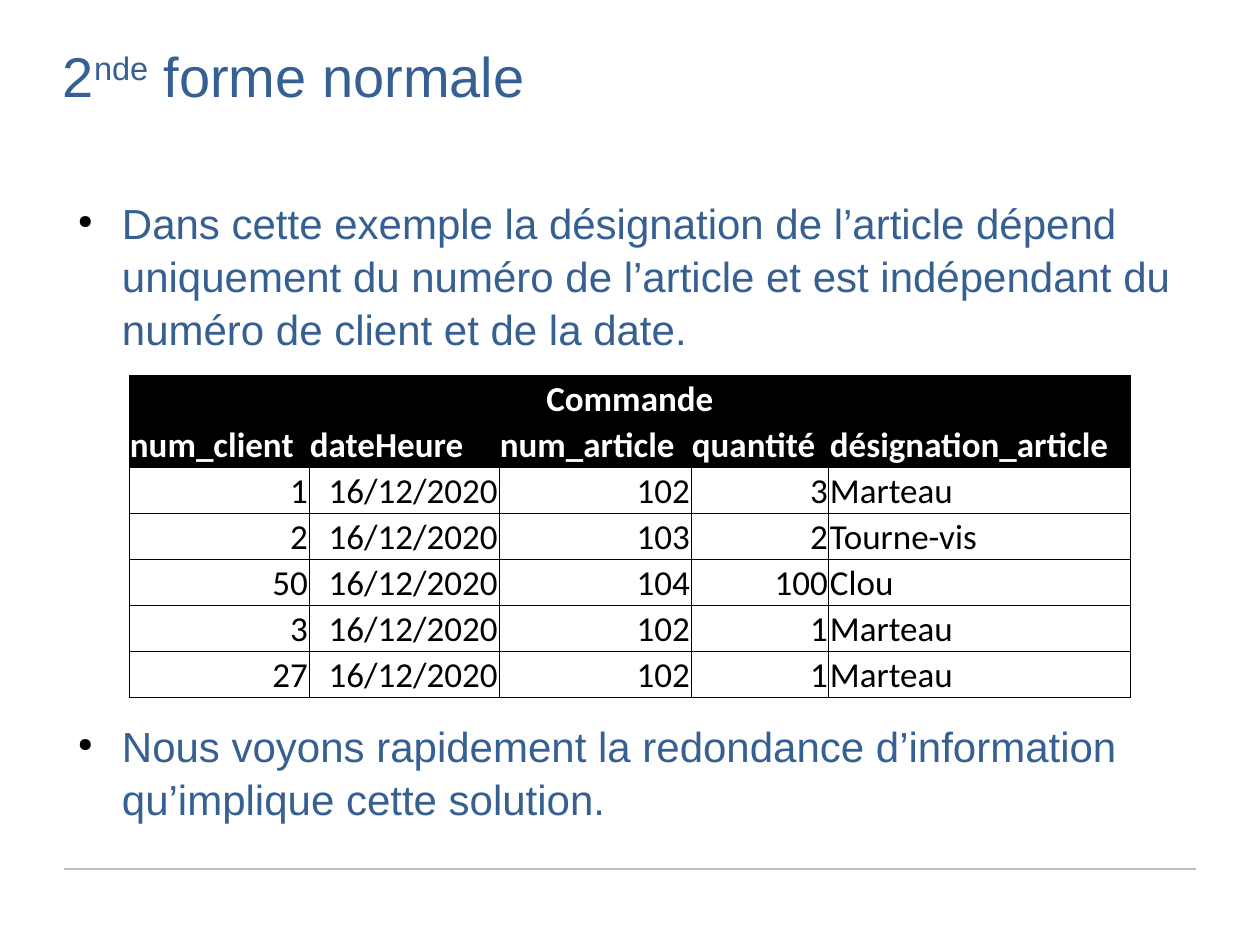
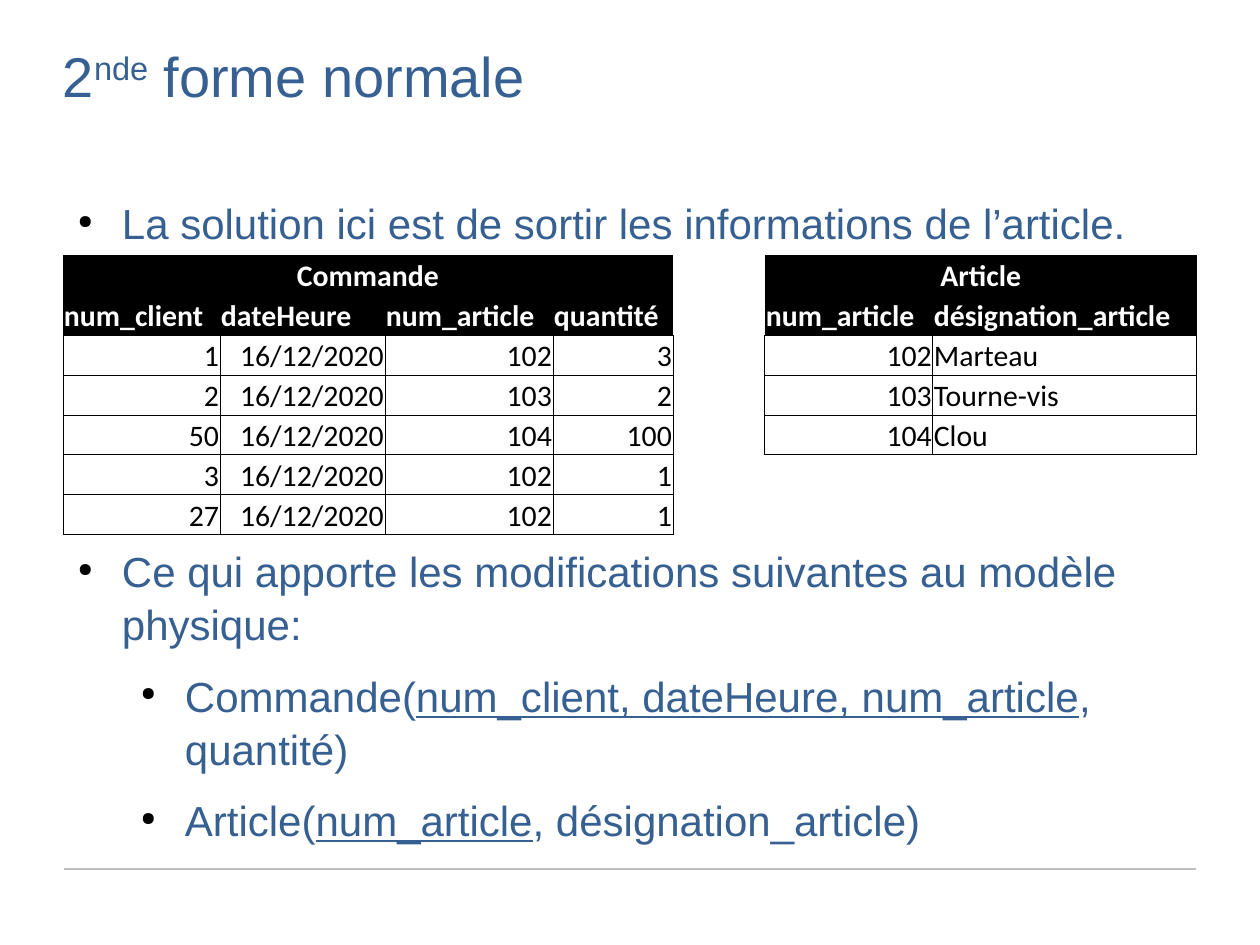
import pptx
import pptx.util
import pptx.dml.color
import pptx.enum.shapes
import pptx.enum.text
import pptx.oxml
import pptx.oxml.ns

SCALE = 914400 / 126
COLORS = {"text": "376092", "ink": "000000", "paper": "FFFFFF", "rule": "BFBFBF"}
NO_STYLE = "{2D5ABB26-0587-4C30-8999-92F81FD0307C}"
ALIGN = pptx.enum.text.PP_ALIGN
TITLE_BOX = (63, 38, 1134, 158)
BODY_BOX = (63, 195, 1134, 649)
RULE = (64, 869, 1196, 869)
INDENTS = (59, 122)
HANGING = 44

COMMANDE_HEAD = ["num_client", "dateHeure", "num_article", "quantité"]
COMMANDE_ROWS = [
    ["1", "16/12/2020", "102", "3"],
    ["2", "16/12/2020", "103", "2"],
    ["50", "16/12/2020", "104", "100"],
    ["3", "16/12/2020", "102", "1"],
    ["27", "16/12/2020", "102", "1"],
]
ARTICLES = {"102": "Marteau", "103": "Tourne-vis", "104": "Clou"}


def px(length):
    return pptx.util.Emu(round(length * SCALE))


def rgb(name):
    return pptx.dml.color.RGBColor.from_string(COLORS[name])


def apply(target, formats):
    for name, value in formats.items():
        setattr(target, name, value)


def add_span(para, text, size, font="Arial", color="text", **formats):
    span = para.add_run()
    span.text = text
    apply(span.font, {"size": pptx.util.Pt(size), "name": font, **formats})
    span.font.color.rgb = rgb(color)
    return span


def add_frame(page, box):
    frame = page.shapes.add_textbox(*map(px, box)).text_frame
    apply(frame, {"word_wrap": True, "margin_left": 0, "margin_right": 0,
                  "margin_top": 0, "margin_bottom": 0})
    return frame


def add_title(page, box):
    para = add_frame(page, box).paragraphs[0]
    para.line_spacing = 1.05
    add_span(para, "2", 32)
    raised = add_span(para, "nde", 32)
    raised._r.get_or_add_rPr().set("baseline", "30000")
    add_span(para, " forme normale", 32)


def add_bullet(para, level):
    props = para._p.get_or_add_pPr()
    props.set("marL", str(px(INDENTS[level])))
    props.set("indent", str(-px(HANGING)))
    ns = pptx.oxml.ns.nsdecls("a")
    for xml in (f'<a:buClr {ns}><a:srgbClr val="{COLORS["ink"]}"/></a:buClr>',
                f'<a:buSzPct {ns} val="45000"/>',
                f'<a:buChar {ns} char="●"/>'):
        props.append(pptx.oxml.parse_xml(xml))


def add_body(page, box, items):
    frame = add_frame(page, box)
    for index, (level, gap, spans) in enumerate(items):
        para = frame.add_paragraph() if index else frame.paragraphs[0]
        apply(para, {"level": level, "line_spacing": 1.05, "space_before": px(gap),
                     "space_after": pptx.util.Pt(10.6)})
        add_bullet(para, level)
        for text, underline in spans:
            add_span(para, text, 24, underline=underline)


def add_borders(cell, sides):
    props = cell._tc.get_or_add_tcPr()
    for place, side in enumerate(sides):
        props.insert(place, pptx.oxml.parse_xml(
            f'<a:ln{side} {pptx.oxml.ns.nsdecls("a")} w="6350"><a:solidFill>'
            f'<a:srgbClr val="{COLORS["ink"]}"/></a:solidFill></a:ln{side}>'))


def fill_cell(cell, text, size, align, heading, sides):
    if heading:
        cell.fill.solid()
        cell.fill.fore_color.rgb = rgb("ink")
    add_borders(cell, sides)
    para = cell.text_frame.paragraphs[0]
    para.alignment = align
    add_span(para, text, size, "Calibri", "paper" if heading else "ink", bold=heading)


def fill_relation(table, start, name, head, rows, size):
    table.cell(0, start).merge(table.cell(0, start + len(head) - 1))
    fill_cell(table.cell(0, start), name, size, ALIGN.CENTER, True, "")
    for column, label in enumerate(head, start):
        fill_cell(table.cell(1, column), label, size, ALIGN.LEFT, True, "B")
    for row, values in enumerate(rows, 2):
        for column, value in enumerate(values, start):
            align = ALIGN.RIGHT if value[0].isdigit() else ALIGN.LEFT
            fill_cell(table.cell(row, column), value, size, align, False, "LRTB")


def add_relations(page, left, top, widths, row_height, size, relations):
    count = 2 + max(len(rows) for _, _, _, rows in relations)
    box = (left, top, sum(widths), count * row_height)
    table = page.shapes.add_table(count, len(widths), *map(px, box)).table
    apply(table, {"first_row": False, "horz_banding": False})
    table._tbl.tblPr.find(pptx.oxml.ns.qn("a:tableStyleId")).text = NO_STYLE
    for column, width in zip(table.columns, widths):
        column.width = px(width)
    for row in table.rows:
        row.height = px(row_height)
    for cell in table.iter_cells():
        apply(cell, {"margin_left": px(1), "margin_right": px(1), "margin_top": px(1),
                     "margin_bottom": 0,
                     "vertical_anchor": pptx.enum.text.MSO_ANCHOR.BOTTOM})
        cell.fill.background()
    for start, name, head, rows in relations:
        fill_relation(table, start, name, head, rows, size)


def add_rule(page, ends):
    kind = pptx.enum.shapes.MSO_CONNECTOR.STRAIGHT
    rule = page.shapes.add_connector(kind, *map(px, ends))
    rule.line.color.rgb = rgb("rule")
    rule.line.width = pptx.util.Pt(0.75)
    rule._element.spPr.append(
        pptx.oxml.parse_xml(f'<a:effectLst {pptx.oxml.ns.nsdecls("a")}/>'))


def add_page(deck, items):
    page = deck.slides.add_slide(deck.slide_layouts[6])
    add_rule(page, RULE)
    add_title(page, TITLE_BOX)
    add_body(page, BODY_BOX, items)
    return page


def build_problem(deck):
    page = add_page(deck, [
        (0, 0, [("Dans cette exemple la désignation de l’article dépend uniquement du "
                 "numéro de l’article et est indépendant du numéro de client et de la "
                 "date.", False)]),
        (0, 346, [("Nous voyons rapidement la redondance d’information qu’implique "
                   "cette solution.", False)]),
    ])
    rows = [row + [ARTICLES[row[2]]] for row in COMMANDE_ROWS]
    add_relations(page, 129, 375, [180, 190, 192, 138, 302], 46, 20, [
        (0, "Commande", COMMANDE_HEAD + ["désignation_article"], rows)])


def build_solution(deck):
    page = add_page(deck, [
        (0, 0, [("La solution ici est de sortir les informations de l’article.", False)]),
        (0, 277, [("Ce qui apporte les modifications suivantes au modèle physique:",
                   False)]),
        (1, 0, [("Commande(", False), ("num_client, dateHeure, num_article", True),
                (", quantité)", False)]),
        (1, 0, [("Article(", False), ("num_article", True),
                (", désignation_article)", False)]),
    ])
    add_relations(page, 63, 255, [157, 165, 168, 120, 92, 168, 264], 40, 17, [
        (0, "Commande", COMMANDE_HEAD, COMMANDE_ROWS),
        (5, "Article", ["num_article", "désignation_article"], list(ARTICLES.items()))])


def main():
    deck = pptx.Presentation()
    apply(deck, {"slide_width": px(1260), "slide_height": px(945)})
    build_problem(deck)
    build_solution(deck)
    deck.save("out.pptx")


if __name__ == "__main__":
    main()
